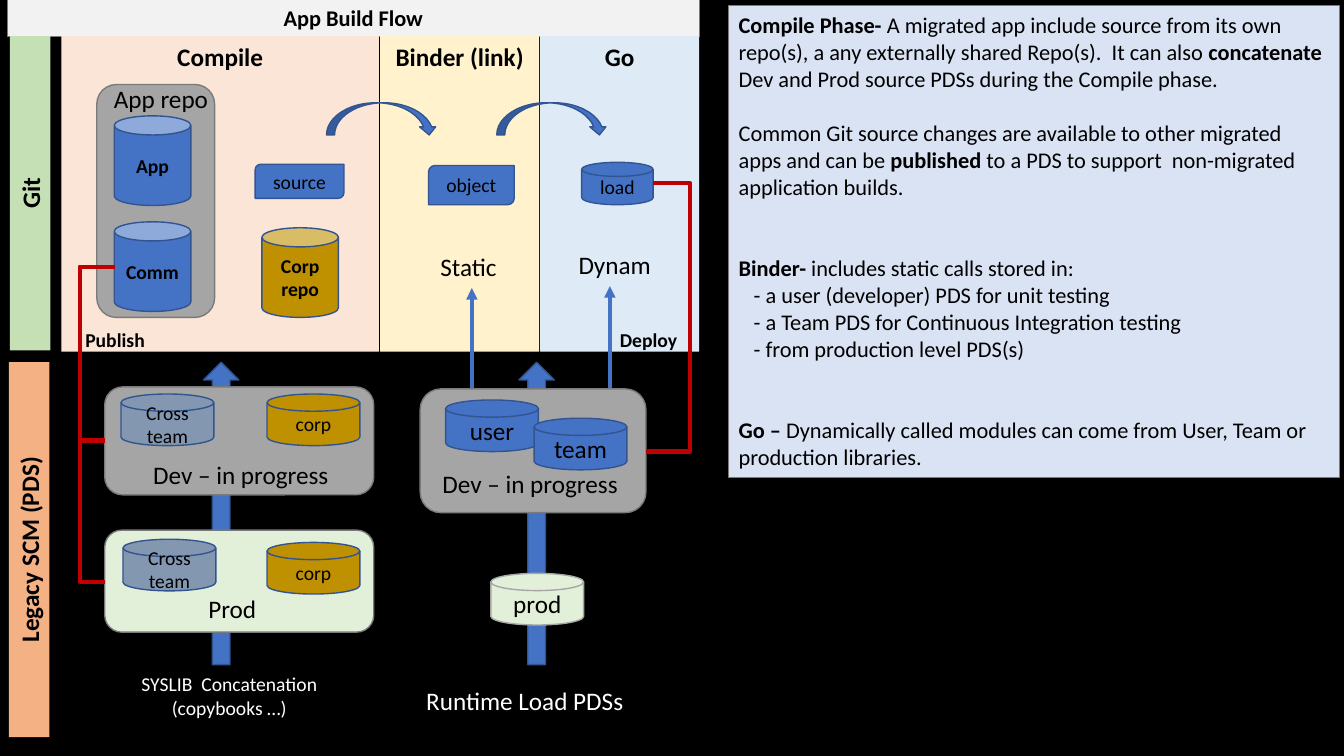
from lxml.etree import SubElement
from pptx import Presentation
from pptx.dml.color import RGBColor
from pptx.enum.shapes import MSO_CONNECTOR, MSO_SHAPE
from pptx.enum.text import MSO_ANCHOR, MSO_AUTO_SIZE, PP_ALIGN
from pptx.oxml.ns import qn
from pptx.util import Cm, Pt

BLACK = RGBColor(0x00, 0x00, 0x00)
WHITE = RGBColor(0xFF, 0xFF, 0xFF)
BLUE = RGBColor(0x44, 0x72, 0xC4)
NAVY = RGBColor(0x32, 0x54, 0x91)
SLATE = RGBColor(0x84, 0x97, 0xB0)
GOLD = RGBColor(0xBF, 0x90, 0x00)
RED = RGBColor(0xC0, 0x00, 0x00)
GRAY = RGBColor(0xA5, 0xA5, 0xA5)
EDGE = RGBColor(0x7A, 0x7A, 0x7A)
SILVER = RGBColor(0xA6, 0xA6, 0xA6)
PALE = RGBColor(0xF2, 0xF2, 0xF2)
PEACH = RGBColor(0xFB, 0xE5, 0xD6)
CREAM = RGBColor(0xFF, 0xF2, 0xCC)
SKY = RGBColor(0xDE, 0xEB, 0xF7)
MINT = RGBColor(0xE2, 0xF0, 0xD9)
GREEN = RGBColor(0xC5, 0xE0, 0xB4)
ORANGE = RGBColor(0xF4, 0xB1, 0x83)
ICE = RGBColor(0xDA, 0xE3, 0xF3)

FRAME = {"word_wrap": True, "auto_size": MSO_AUTO_SIZE.NONE}
DISK = MSO_SHAPE.FLOWCHART_MAGNETIC_DISK
DISK_SIZE = (2.34, 1.3)
CAN_SIZE = (1.93, 2.26)

# Note paragraphs: space before (pt), left indent (cm), runs of (text, bold)
NOTES = [
    (0, 0, [("Compile Phase- ", True),
            ("A migrated app include source from its own repo(s), a any "
             "externally shared Repo(s).  It can also ", False),
            ("concatenate ", True),
            ("Dev and Prod source PDSs during the Compile phase.", False)]),
    (19.5, 0, [("Common Git source changes are available to other migrated "
                "apps and can be ", False),
               ("published", True),
               (" to a PDS to support  non-migrated application builds.",
                False)]),
    (39, 0, [("Binder- ", True), ("includes static calls stored in:", False)]),
    (0, 0.38, [("- a user (developer) PDS for unit testing", False)]),
    (0, 0.38, [("- a Team PDS for Continuous Integration testing", False)]),
    (0, 0.38, [("- from production level PDS(s)", False)]),
    (39, 0, [("Go – ", True),
             ("Dynamically called modules can come from User, Team or "
              "production libraries.", False)]),
]


def style(item, values):
    for name, value in values.items():
        setattr(item, name, value)


def place(item, spot):
    style(item, dict(zip(("left", "top", "width", "height"), map(Cm, spot))))


def paint(shape, fill, edge=None, width=1):
    shape.fill.solid()
    shape.fill.fore_color.rgb = fill
    if edge is None:
        shape.line.fill.background()
    else:
        shape.line.color.rgb = edge
        shape.line.width = Pt(width)


def add_run(para, text, size, bold=False, color=BLACK):
    run = para.add_run()
    run.text = text
    style(run.font, {"name": "Calibri", "size": Pt(size), "bold": bold})
    run.font.color.rgb = color


def write(shape, text, size=18, bold=False, color=BLACK,
          align=PP_ALIGN.CENTER, anchor=MSO_ANCHOR.TOP):
    frame = shape.text_frame
    style(frame, {**FRAME, "vertical_anchor": anchor})
    for i, line in enumerate(text.split("\n")):
        para = frame.add_paragraph() if i else frame.paragraphs[0]
        para.alignment = align
        add_run(para, line, size, bold, color)


def add_block(slide, kind, spot, fill, edge=NAVY, turn=0):
    shape = slide.shapes.add_shape(kind, *map(Cm, spot))
    shape.shadow.inherit = False
    shape.rotation = turn
    paint(shape, fill, edge)
    return shape


def add_node(slide, kind, spot, fill, text, size=14, bold=False, edge=NAVY):
    node = add_block(slide, kind, spot, fill, edge)
    write(node, text, size, bold, anchor=MSO_ANCHOR.MIDDLE)


def add_band(slide, spot, fill, text, turn=0):
    band = add_block(slide, MSO_SHAPE.RECTANGLE, spot, fill, None, turn)
    write(band, text, bold=True)


def add_label(slide, spot, text, size=18, bold=False, color=BLACK,
              align=PP_ALIGN.LEFT):
    label = slide.shapes.add_textbox(*map(Cm, spot))
    write(label, text, size, bold, color, align)


def add_link(slide, start, end, color, width, kind=MSO_CONNECTOR.STRAIGHT):
    link = slide.shapes.add_connector(kind, *map(Cm, start + end))
    link.line.color.rgb = color
    link.line.width = Pt(width)
    props = link._element.spPr
    SubElement(props, qn("a:effectLst"))
    return props


def add_arrow(slide, start, end):
    props = add_link(slide, start, end, BLUE, 2.75)
    SubElement(props.find(qn("a:ln")), qn("a:tailEnd"), type="triangle")


def add_elbow(slide, start, end, bend):
    props = add_link(slide, start, end, RED, 3, MSO_CONNECTOR.ELBOW)
    geom = props.find(qn("a:prstGeom"))
    stops = geom.find(qn("a:avLst"))
    if stops is None:
        stops = SubElement(geom, qn("a:avLst"))
    ratio = round((bend - start[0]) / (end[0] - start[0]) * 100000)
    SubElement(stops, qn("a:gd"), name="adj1", fmla=f"val {ratio}")


def add_notes(body):
    place(body, (18.36, 0.15, 15.39, 11.89))
    paint(body, ICE, EDGE, 0.75)
    frame = body.text_frame
    style(frame, {**FRAME, "vertical_anchor": MSO_ANCHOR.TOP})
    for i, (gap, indent, runs) in enumerate(NOTES):
        para = frame.add_paragraph() if i else frame.paragraphs[0]
        style(para, {"space_before": Pt(gap), "space_after": Pt(0),
                     "alignment": PP_ALIGN.LEFT})
        props = para._p.get_or_add_pPr()
        props.set("marL", str(Cm(indent)))
        props.set("indent", "0")
        SubElement(props, qn("a:buNone"))
        for text, bold in runs:
            add_run(para, text, 16, bold)


def main():
    deck = Presentation()
    style(deck, {"slide_width": Cm(33.87), "slide_height": Cm(19.05)})
    slide = deck.slides.add_slide(deck.slide_layouts[1])
    slide.background.fill.solid()
    slide.background.fill.fore_color.rgb = BLACK

    # Title and notes
    title, body = slide.placeholders
    place(title, (0.18, -0.03, 17.45, 0.94))
    paint(title, PALE, EDGE, 0.75)
    write(title, "App Build Flow", 16, True)
    add_notes(body)

    # Tall arrows behind the libraries
    for left in (5.13, 13.08):
        add_block(slide, MSO_SHAPE.UP_ARROW, (left, 9.13, 0.89, 7.62), BLUE)

    # Phase columns and side bands
    for left, width, fill, text in ((1.55, 8, PEACH, "Compile"),
                                    (9.58, 4.01, CREAM, "Binder (link)"),
                                    (13.61, 4.01, SKY, "Go")):
        add_band(slide, (left, 0.91, width, 7.95), fill, text)
    add_band(slide, (-3.2, 4.36, 7.92, 1.02), GREEN, "Git", 270)
    add_band(slide, (-3.99, 13.34, 9.45, 1.02), ORANGE,
             "Legacy SCM (PDS)", 270)

    # Calls into the binder and go phases
    for x, top, text in ((11.89, 7.26, "Static"), (15.37, 7.21, "Dynam")):
        add_arrow(slide, (x, top + 3.05), (x, top))
        add_label(slide, (x - 1.04, top - 1.06, 2.79, 1.02), text)
    for left in (8.23, 12.52):
        add_block(slide, MSO_SHAPE.CURVED_DOWN_ARROW,
                  (left, 2.59, 2.79, 0.81), BLUE)

    # Containers
    for spot, fill in (((2.44, 2.13, 2.97, 5.87), GRAY),
                       ((2.64, 9.75, 6.78, 2.72), GRAY),
                       ((2.64, 13.36, 6.78, 2.57), MINT),
                       ((10.59, 9.8, 5.69, 3.12), GRAY)):
        add_block(slide, MSO_SHAPE.ROUNDED_RECTANGLE, spot, fill, EDGE)

    # Build items
    sheet = MSO_SHAPE.ROUND_2_DIAG_RECTANGLE
    add_node(slide, sheet, (6.43, 4.14, 2.24, 0.86), BLUE, "source")
    add_node(slide, sheet, (10.8, 4.17, 2.16, 0.99), BLUE, "object")
    add_node(slide, DISK, (14.66, 4.09, 1.8, 1.07), BLUE, "load")

    # Git repos
    for spot, fill, text in (((2.88, 2.92), BLUE, "App"),
                             ((2.88, 5.59), BLUE, "Comm"),
                             ((6.6, 5.74), GOLD, "Corp\nrepo")):
        add_node(slide, MSO_SHAPE.CAN, spot + CAN_SIZE, fill, text, bold=True)

    # Libraries
    for spot, fill, text, size, edge in (
            ((3.05, 9.93), SLATE, "Cross\nteam", 14, NAVY),
            ((6.73, 9.93), GOLD, "corp", 14, NAVY),
            ((3.1, 13.59), SLATE, "Cross\nteam", 14, NAVY),
            ((6.73, 13.67), GOLD, "corp", 14, NAVY),
            ((11.23, 10.08), BLUE, "user", 18, NAVY),
            ((13.46, 10.54), BLUE, "team", 18, NAVY),
            ((12.37, 14.45), MINT, "prod", 18, SILVER)):
        add_node(slide, DISK, spot + DISK_SIZE, fill, text, size, edge=edge)

    # Labels
    for spot, text in (((2.62, 1.98, 4.01, 1.02), "App repo"),
                       ((3.61, 11.46, 5.11, 1.02), "Dev – in progress"),
                       ((10.9, 11.68, 5.11, 1.02), "Dev – in progress"),
                       ((5, 14.83, 2.34, 1.02), "Prod")):
        add_label(slide, spot, text)
    for left, text in ((1.9, "Publish"), (15.37, "Deploy")):
        add_label(slide, (left, 8.15, 2.59, 0.86), text, 14, True)
    add_label(slide, (2.39, 16.81, 6.78, 1.45),
              "SYSLIB  Concatenation\n(copybooks …)", 14, color=WHITE,
              align=PP_ALIGN.CENTER)
    add_label(slide, (10.49, 17.15, 5.94, 1.02), "Runtime Load PDSs",
              color=WHITE)

    # Publish and deploy routes
    add_elbow(slide, (16.46, 4.62), (16.28, 11.38), 17.4)
    for low in (11.1, 14.66):
        add_elbow(slide, (2.9, 6.73), (2.64, low), 2.01)

    deck.save("out.pptx")


if __name__ == "__main__":
    main()
